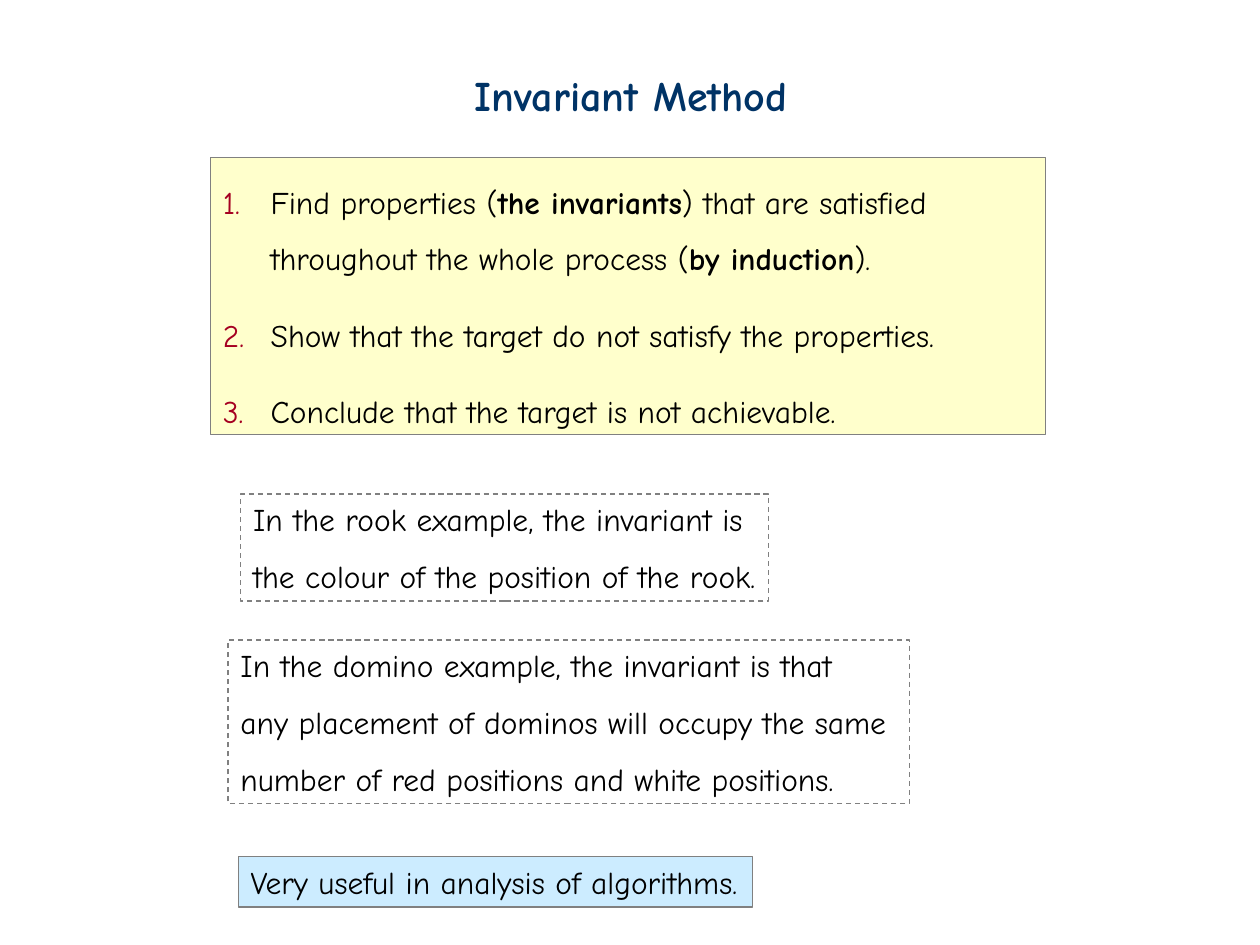
from lxml import etree
from pptx import Presentation
from pptx.dml.color import RGBColor
from pptx.enum.dml import MSO_LINE
from pptx.enum.shapes import MSO_SHAPE
from pptx.enum.text import MSO_ANCHOR, MSO_AUTO_SIZE, PP_ALIGN
from pptx.oxml.ns import qn
from pptx.util import Inches, Pt

RECT = MSO_SHAPE.RECTANGLE
DASH = MSO_LINE.DASH
TOP = MSO_ANCHOR.TOP
GROW = MSO_AUTO_SIZE.SHAPE_TO_FIT_TEXT
LEFT = PP_ALIGN.LEFT

FONT = "Comic Neue"
COLORS = {
    "title": "003366",
    "text": "000000",
    "number": "A50021",
    "border": "808080",
    "steps": "FFFFCC",
    "remark": "CCECFF",
}
WIDTH, HEIGHT = Inches(10), Inches(7.5)
COLS, ROWS = 100, 75


def rgb(name):
    return RGBColor.from_string(COLORS[name])


def grid(left, top, width, height):
    """Turn grid columns and rows into slide lengths."""
    col, row = WIDTH / COLS, HEIGHT / ROWS
    return int(left * col), int(top * row), int(width * col), int(height * row)


def add_box(slide, place, fill=None, dash=None):
    s = slide.shapes.add_shape(RECT, *grid(*place))
    s.shadow.inherit = False
    if fill:
        s.fill.solid()
        s.fill.fore_color.rgb = rgb(fill)
    else:
        s.fill.background()
    s.line.color.rgb = rgb("border")
    s.line.width = Pt(0.75)
    if dash:
        s.line.dash_style = dash
    return s


def prepare_frame(s, wrap=False):
    tf = s.text_frame
    tf.word_wrap = wrap
    tf.auto_size = GROW
    tf.vertical_anchor = TOP
    return tf


def add_text(p, text, size=18, color="text", bold=False):
    r = p.add_run()
    r.text = text
    r.font.name = FONT
    r.font.size = Pt(size)
    r.font.bold = bold
    r.font.color.rgb = rgb(color)


def next_paragraph(tf, index):
    p = tf.add_paragraph() if index else tf.paragraphs[0]
    p.alignment = LEFT
    return p


def number_paragraph(p, indent=0.38):
    """Give the paragraph a coloured automatic number and a hanging indent."""
    pPr = p._p.get_or_add_pPr()
    pPr.set("marL", str(Inches(indent)))
    pPr.set("indent", str(-Inches(indent)))
    clr = etree.SubElement(pPr, qn("a:buClr"))
    etree.SubElement(clr, qn("a:srgbClr"), val=COLORS["number"])
    etree.SubElement(pPr, qn("a:buAutoNum"), type="arabicPeriod")


def add_title(slide, place, text):
    s = slide.shapes.add_textbox(*grid(*place))
    p = next_paragraph(prepare_frame(s), 0)
    add_text(p, text, size=24, color="title", bold=True)


def add_steps(slide, place, steps):
    """Add a numbered list; every second part of a step is bold."""
    tf = prepare_frame(add_box(slide, place, fill="steps"), wrap=True)
    for i, parts in enumerate(steps):
        p = next_paragraph(tf, i)
        if i:
            p.space_before = Pt(22)
        else:
            p.line_spacing = 1.5
        number_paragraph(p)
        for j, part in enumerate(parts):
            add_text(p, part, bold=j % 2 == 1)


def add_note(slide, place, lines, **style):
    tf = prepare_frame(add_box(slide, place, **style))
    for i, line in enumerate(lines):
        p = next_paragraph(tf, i)
        if i:
            p.line_spacing = 1.5
        add_text(p, line)


def main():
    prs = Presentation()
    prs.slide_width, prs.slide_height = WIDTH, HEIGHT
    slide = prs.slides.add_slide(prs.slide_layouts[6])

    add_title(slide, (36.7, 5, 26.8, 5), "Invariant Method")
    add_steps(slide, (16.7, 12.5, 66.3, 22), [
        ["Find properties (", "the invariants",
         ") that are satisfied throughout the whole process (",
         "by induction", ")."],
        ["Show that the target do not satisfy the properties."],
        ["Conclude that the target is not achievable."],
    ])
    add_note(slide, (19.1, 39.2, 41.9, 8.5), [
        "In the rook example, the invariant is",
        "the colour of the position of the rook.",
    ], dash=DASH)
    add_note(slide, (18.1, 50.8, 54.1, 13), [
        "In the domino example, the invariant is that",
        "any placement of dominos will occupy the same",
        "number of red positions and white positions.",
    ], dash=DASH)
    add_note(slide, (18.9, 68, 40.8, 4),
             ["Very useful in analysis of algorithms."], fill="remark")

    prs.save("out.pptx")


if __name__ == "__main__":
    main()
